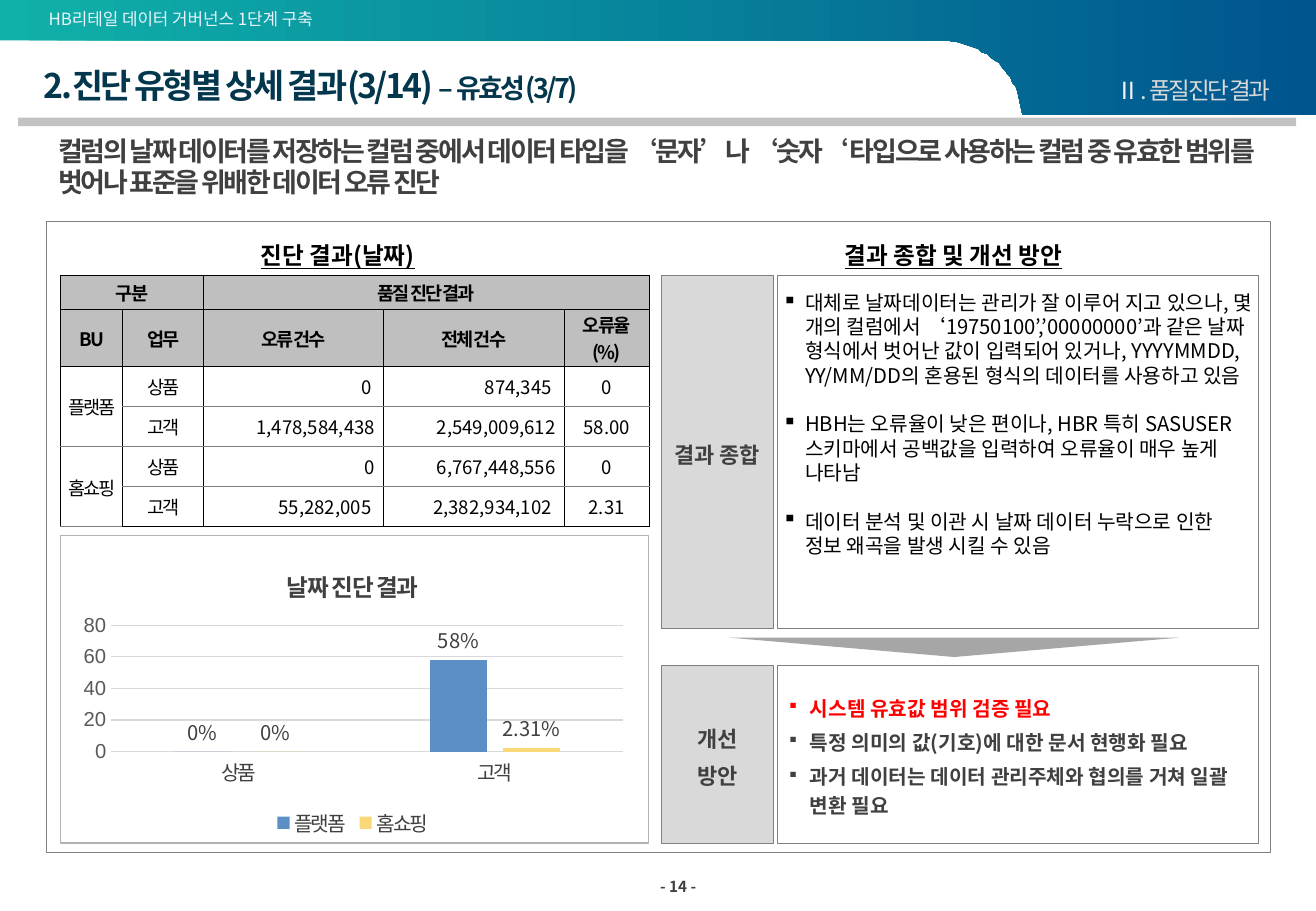
from dataclasses import dataclass
from typing import Optional

from lxml import etree
from pptx import Presentation
from pptx import util as u
from pptx.chart import data as chart_data
from pptx.dml import color
from pptx.enum import chart as ch, shapes, text
from pptx.oxml import ns

Pt = u.Pt
LEFT, CENTER, RIGHT = text.PP_ALIGN.LEFT, text.PP_ALIGN.CENTER, text.PP_ALIGN.RIGHT
TOP, MIDDLE = text.MSO_ANCHOR.TOP, text.MSO_ANCHOR.MIDDLE
RECT = shapes.MSO_SHAPE.RECTANGLE


@dataclass(frozen=True)
class Theme:
    font: str = "Noto Sans CJK KR"
    axis_font: str = "Arial"
    black: str = "000000"
    dark: str = "404040"
    mid: str = "808080"
    axis: str = "595959"
    grid: str = "D9D9D9"
    side: str = "D9D9D9"
    head: str = "BFBFBF"
    bar: str = "C2C2C2"
    arrow: str = "A6A6A6"
    chart_edge: str = "B2B2B2"
    white: str = "FFFFFF"
    red: str = "FF0000"
    navy: str = "03374D"
    pale: str = "EAF3FC"
    near_white: str = "F2F2F2"
    teal: str = "0FB1A9"
    blue: str = "00558E"
    series: tuple = ("5C8FC5", "F9D877")
    title: float = 20
    lead: float = 16
    section: float = 14
    label: float = 13
    body: float = 12
    cell: float = 11
    small: float = 10
    page: float = 9


T = Theme()


@dataclass(frozen=True)
class Box:
    x: float
    y: float
    w: float
    h: float
    fill: Optional[str] = None
    line: Optional[str] = None
    width: float = 0.5
    kind: int = RECT

    def place(self) -> tuple:
        return Pt(self.x), Pt(self.y), Pt(self.w), Pt(self.h)


@dataclass(frozen=True)
class Panel:
    y: float
    h: float
    label: tuple
    items: tuple
    anchor: int
    inset: tuple
    fmt: dict


def rgb(value: str) -> color.RGBColor:
    return color.RGBColor.from_string(value)


def style(font, size: float, tone: str, bold: bool = False, spc: float = 0,
          name: str = T.font) -> None:
    font.size, font.bold, font.name = Pt(size), bold, name
    font.color.rgb = rgb(tone)
    rpr = font._rPr
    etree.SubElement(rpr, ns.qn("a:ea")).set("typeface", name)
    if spc:
        rpr.set("spc", str(round(spc * 100)))


def write(tf, words: str, *, size: float = T.body, tone: str = T.black, bold: bool = False,
          underline: bool = False, spc: float = 0, align: int = LEFT, line: float = 0,
          gap: float = 0, bullet: int = 0, join: bool = False) -> None:
    p = tf.paragraphs[-1]
    if p.runs and not join:
        p = tf.add_paragraph()
        p.space_before = Pt(gap)
    p.alignment = align
    if line:
        p.line_spacing = Pt(line)
    if bullet:
        ppr = p._p.get_or_add_pPr()
        ppr.set("marL", str(Pt(13.5)))
        ppr.set("indent", str(-Pt(13.5)))
        etree.SubElement(ppr, ns.qn("a:buSzPct")).set("val", str(bullet * 1000))
        etree.SubElement(ppr, ns.qn("a:buChar")).set("char", "▪")
    r = p.add_run()
    r.text = words
    style(r.font, size, tone, bold, spc)
    if underline:
        r.font.underline = True


def frame(tf, anchor: int, inset: tuple):
    tf.word_wrap = True
    tf.vertical_anchor = anchor
    tf.margin_left = tf.margin_right = Pt(inset[0])
    tf.margin_top = tf.margin_bottom = Pt(inset[1])
    return tf


def textbox(s, box: Box, anchor: int = MIDDLE, inset: tuple = (0, 0)):
    return frame(s.shapes.add_textbox(*box.place()).text_frame, anchor, inset)


def draw(s, box: Box):
    sp = s.shapes.add_shape(box.kind, *box.place())
    paint(sp, box)
    return sp


def paint(sp, box: Box) -> None:
    sp.shadow.inherit = False
    if box.fill:
        sp.fill.solid()
        sp.fill.fore_color.rgb = rgb(box.fill)
    else:
        sp.fill.background()
    if box.line:
        sp.line.color.rgb = rgb(box.line)
        sp.line.width = Pt(box.width)
    else:
        sp.line.fill.background()


def banner(s) -> None:
    curve = ((602.6, 54), (597.6, 39.6), (584.6, 28.8), (568.1, 25.2))
    weights = [((1 - t) ** 3, 3 * t * (1 - t) ** 2, 3 * t * t * (1 - t), t ** 3)
               for t in (i / 16 for i in range(17))]
    bend = [tuple(sum(k * pt[a] for k, pt in zip(w, curve)) for a in (0, 1)) for w in weights]
    fb = s.shapes.build_freeform(0, 0, scale=float(Pt(1)))
    fb.add_line_segments([(780, 0), (780, 67.7), (605.5, 67.7), *bend,
                          (560.9, 24.5), (249, 23.8), (0, 23.8)])
    sp = fb.convert_to_shape()
    paint(sp, Box(0, 0, 780, 67.7))
    sp.fill.gradient()
    sp.fill.gradient_angle = 0
    for stop, tone in zip(sp.fill.gradient_stops, (T.teal, T.blue)):
        stop.color.rgb = rgb(tone)


def borders(cell, tones: dict) -> None:
    tcpr = cell._tc.get_or_add_tcPr()
    for side, tone in tones.items():
        ln = etree.SubElement(tcpr, ns.qn(f"a:ln{side}"), w=str(Pt(0.5)))
        fill = etree.SubElement(ln, ns.qn("a:solidFill"))
        etree.SubElement(fill, ns.qn("a:srgbClr")).set("val", tone)


def result_table(s) -> None:
    rows = (("구분", "", "품질 진단 결과", "", ""),
            ("BU", "업무", "오류 건수", "전체 건수", "오류율(%)"),
            ("플랫폼", "상품", "0", "874,345", "0"),
            ("", "고객", "1,478,584,438", "2,549,009,612", "58.00"),
            ("홈쇼핑", "상품", "0", "6,767,448,556", "0"),
            ("", "고객", "55,282,005", "2,382,934,102", "2.31"))
    tbl = s.shapes.add_table(6, 5, *Box(36, 163.4, 348.8, 149).place()).table
    tbl.first_row = tbl.horz_banding = False
    for col, w in zip(tbl.columns, (36.8, 47.8, 106.8, 107, 50.4)):
        col.width = Pt(w)
    for row, h in zip(tbl.rows, (20, 34, 23.75, 23.75, 23.75, 23.75)):
        row.height = Pt(h)
    for r, row in enumerate(rows):
        for c, words in enumerate(row):
            cell, head = tbl.cell(r, c), r < 2
            borders(cell, {"L": T.black, "R": T.black, "T": T.black if r < 3 else T.mid,
                           "B": T.black if head or r == 5 else T.mid})
            if head:
                cell.fill.solid()
                cell.fill.fore_color.rgb = rgb(T.head)
            else:
                cell.fill.background()
            side = 0 if c == 0 and not head else 5 if c > 1 and r in (3, 4) else 7.2
            cell.vertical_anchor = MIDDLE
            cell.margin_left = cell.margin_right = Pt(side)
            cell.margin_top = cell.margin_bottom = 0
            if words:
                write(cell.text_frame, words, size=T.cell, bold=head,
                      spc=-1.2 if head or c < 2 else 0,
                      align=RIGHT if not head and c in (2, 3) else CENTER)
    for a, b in (((0, 0), (0, 1)), ((0, 2), (0, 4)), ((2, 0), (3, 0)), ((4, 0), (5, 0))):
        tbl.cell(*a).merge(tbl.cell(*b))


def result_chart(s) -> None:
    cd = chart_data.CategoryChartData()
    cd.categories = ("상품", "고객")
    cd.add_series("플랫폼", (0, 58))
    cd.add_series("홈쇼핑", (0, 2.31))
    chart = s.shapes.add_chart(ch.XL_CHART_TYPE.COLUMN_CLUSTERED,
                               *Box(42.5, 325.4, 333.4, 174.2).place(), cd).chart
    style(chart.font, T.small, T.black, name=T.axis_font)
    chart.has_title = True
    write(chart.chart_title.text_frame, "날짜 진단 결과", size=T.section, tone=T.dark,
          bold=True, spc=-1, align=CENTER)
    chart.has_legend = True
    chart.legend.position = ch.XL_LEGEND_POSITION.BOTTOM
    chart.legend.include_in_layout = False
    style(chart.legend.font, T.body, T.dark, spc=-1.2)
    cat, val = chart.category_axis, chart.value_axis
    for axis in (cat, val):
        axis.major_tick_mark = axis.minor_tick_mark = ch.XL_TICK_MARK.NONE
    style(cat.tick_labels.font, T.body, T.dark, spc=-1.2)
    style(val.tick_labels.font, T.body, T.axis, name=T.axis_font)
    val.minimum_scale, val.maximum_scale, val.major_unit = 0, 80, 20
    val.format.line.fill.background()
    for edge in (cat.format.line, val.major_gridlines.format.line):
        edge.color.rgb = rgb(T.grid)
        edge.width = Pt(0.75)
    plot = chart.plots[0]
    plot.gap_width, plot.overlap, plot.vary_by_categories = 219, -27, False
    for series, tone in zip(plot.series, T.series):
        series.format.fill.solid()
        series.format.fill.fore_color.rgb = rgb(tone)
        labels = series.data_labels
        labels.show_value = True
        labels.number_format, labels.number_format_is_linked = 'General"%"', False
        labels.position = ch.XL_LABEL_POSITION.OUTSIDE_END
        style(labels.font, T.body, T.dark)
    area = chart._chartSpace.find(".//" + ns.qn("c:plotArea"))
    for old in area.findall(ns.qn("c:layout")):
        area.remove(old)
    layout = etree.Element(ns.qn("c:layout"))
    area.insert(0, layout)
    manual = etree.SubElement(layout, ns.qn("c:manualLayout"))
    for tag, value in (("layoutTarget", "inner"), ("xMode", "edge"), ("yMode", "edge"),
                       ("x", "0.07"), ("y", "0.26"), ("w", "0.91"), ("h", "0.43")):
        etree.SubElement(manual, ns.qn(f"c:{tag}")).set("val", value)


def draw_panel(s, panel: Panel) -> None:
    sp = draw(s, Box(460.8, panel.y, 285.1, panel.h, T.white, T.mid))
    tf = frame(sp.text_frame, panel.anchor, panel.inset)
    for words, tone in panel.items:
        write(tf, words, tone=tone, **panel.fmt)
    sp = draw(s, Box(392, panel.y, 66.4, panel.h, T.side, T.mid))
    tf = frame(sp.text_frame, MIDDLE, (5.8, 2.9))
    for words in panel.label:
        write(tf, words, size=T.label, tone=T.dark, bold=True, align=CENTER, line=18.9, gap=3)


PANELS = (
    Panel(163.4, 209, ("결과 종합",), (
        ("대체로 날짜데이터는 관리가 잘 이루어 지고 있으나, 몇 개의 컬럼에서 ‘19750100’,’00000000’과 같은 날짜 형식에서 벗어난 값이 입력되어 있거나, YYYYMMDD, YY/MM/DD의 혼용된 형식의 데이터를 사용하고 있음", T.black),
        ("HBH는 오류율이 낮은 편이나, HBR 특히 SASUSER 스키마에서 공백값을 입력하여 오류율이 매우 높게 나타남", T.black),
        ("데이터 분석 및 이관 시 날짜 데이터 누락으로 인한 정보 왜곡을 발생 시킬 수 있음", T.black),
    ), TOP, (2.9, 8.6), dict(line=14.4, gap=14.4, bullet=100)),
    Panel(394.6, 105.1, ("개선", "방안"), (
        ("시스템 유효값 범위 검증 필요", T.red),
        ("특정 의미의 값(기호)에 대한 문서 현행화 필요", T.dark),
        ("과거 데이터는 데이터 관리주체와 협의를 거쳐 일괄 변환 필요", T.dark),
    ), MIDDLE, (5.8, 2.9), dict(line=17.3, gap=3, bullet=80, bold=True)),
)


def main() -> None:
    prs = Presentation()
    prs.slide_width, prs.slide_height = Pt(780), Pt(540)
    s = prs.slides.add_slide(prs.slide_layouts[6])
    banner(s)
    draw(s, Box(10.8, 69.8, 757.4, 5, T.bar))
    write(textbox(s, Box(28.8, 5, 231.8, 12.2)), "HB리테일 데이터 거버넌스 1단계 구축",
          size=T.small, tone=T.pale)
    write(textbox(s, Box(380.2, 517, 38.2, 16.6), inset=(5.8, 2.9)), "- 14 -",
          size=T.page, tone=T.dark, bold=True, align=RIGHT)
    result_table(s)
    for panel in PANELS:
        draw_panel(s, panel)
    sp = draw(s, Box(432, 378, 267.1, 11.5, T.arrow, kind=shapes.MSO_SHAPE.ISOSCELES_TRIANGLE))
    sp._element.spPr.xfrm.set("flipV", "1")
    draw(s, Box(27.4, 131, 725.8, 374.4, line=T.mid))
    for x, words in ((115.2, "진단 결과(날짜)"), (480.2, "결과 종합 및 개선 방안")):
        write(textbox(s, Box(x, 139, 169.9, 24.5), inset=(7.2, 3.6)), words,
              size=T.section, bold=True, underline=True, align=CENTER)
    write(textbox(s, Box(27.4, 77, 725.8, 45.4), TOP, (7.2, 3.6)),
          "컬럼의 날짜 데이터를 저장하는 컬럼 중에서 데이터 타입을 ‘문자’나 ‘숫자‘ 타입으로 사용하는 컬럼 중 유효한 범위를 벗어나 표준을 위배한 데이터 오류 진단",
          size=T.lead, tone=T.dark, bold=True, spc=-1.3, line=18.4)
    draw(s, Box(36, 317.5, 348.5, 182.2, T.white, T.chart_edge, 0.75))
    result_chart(s)
    tf = textbox(s, Box(25.9, 39.6, 672.5, 21.6))
    write(tf, "2.진단 유형별 상세 결과(3/14) ", size=T.title, tone=T.navy, bold=True, spc=-1.5)
    write(tf, "– 유효성(3/7)", size=T.lead, tone=T.navy, bold=True, spc=-1.5, join=True)
    tf = textbox(s, Box(581, 44.6, 172.1, 17.3))
    write(tf, "Ⅱ", size=T.section, tone=T.near_white, spc=-1.5, align=RIGHT)
    write(tf, ". 품질진단 결과", size=T.section, tone=T.grid, spc=-1.5, align=RIGHT, join=True)
    prs.save("out.pptx")


if __name__ == "__main__":
    main()
